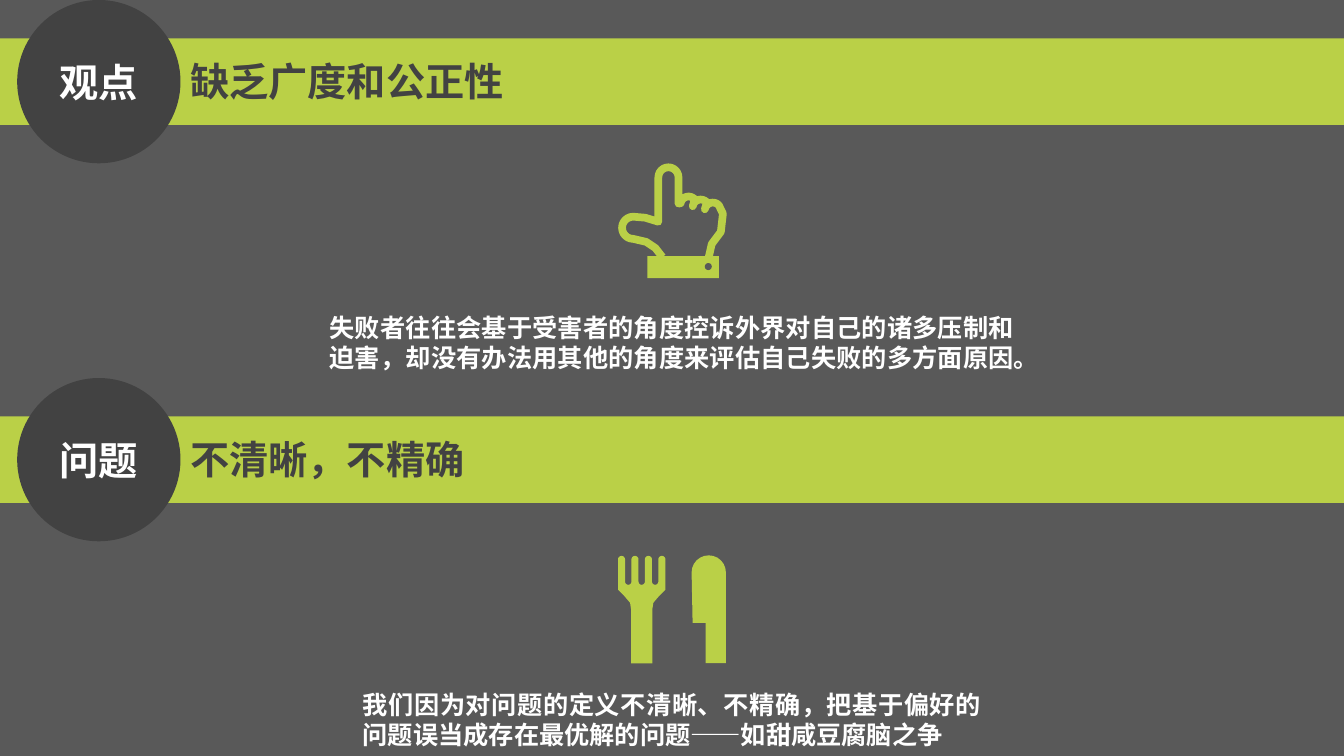
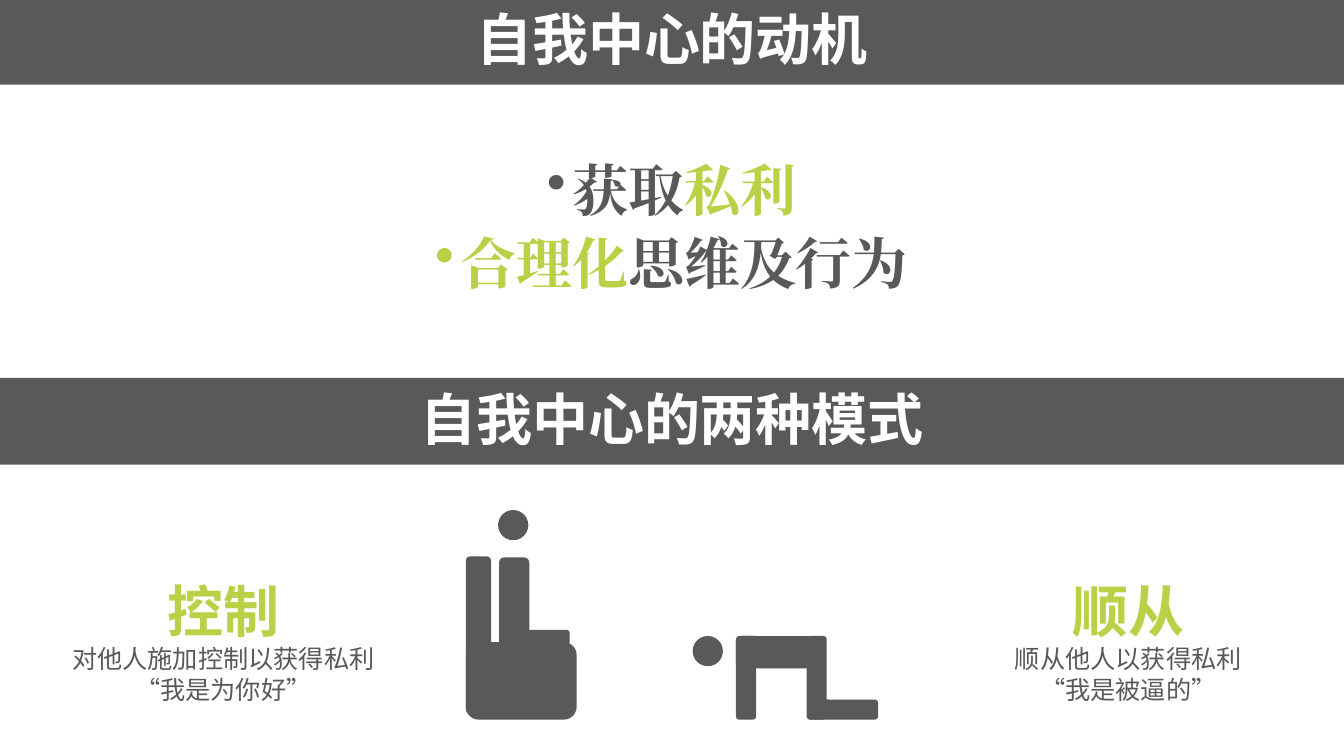
import math

import pptx
import pptx.dml.color
import pptx.enum.shapes
import pptx.enum.text
import pptx.oxml.ns
import pptx.util
from lxml import etree

Inches = pptx.util.Inches
Pt = pptx.util.Pt
SHAPE = pptx.enum.shapes.MSO_SHAPE
ALIGN = pptx.enum.text.PP_ALIGN
ANCHOR = pptx.enum.text.MSO_ANCHOR

GREEN, GRAY, DARK, WHITE = "BAD047", "595959", "424242", "FFFFFF"
FONT, BULLET_FONT = "Noto Sans CJK SC", "Cambria"
SLIDE_WIDTH, BAND_HEIGHT, HALF = 13.33, 0.86, 3.75


def color(value):
    return pptx.dml.color.RGBColor.from_string(value)


def add_text(paragraph, text, size=18, fill=WHITE, bold=True, font=FONT):
    """Append one formatted run to a paragraph."""
    run = paragraph.add_run()
    run.text = text
    run.font.size = Pt(size)
    run.font.bold = bold
    run.font.color.rgb = color(fill)
    run.font.name = font
    east_asian = etree.SubElement(run.font._element, pptx.oxml.ns.qn("a:ea"))
    east_asian.set("typeface", font)


def add_bullet(paragraph):
    properties = paragraph._p.get_or_add_pPr()
    properties.set("marL", str(Inches(0.25)))
    properties.set("indent", str(Inches(-0.25)))
    etree.SubElement(properties, pptx.oxml.ns.qn("a:buChar")).set("char", "•")


def arc(x, y, radius, start=180, end=360, steps=12):
    """Points on a circle; angles run clockwise from the right."""
    angles = [math.radians(start + (end - start) * step / steps)
              for step in range(steps + 1)]
    return [(x + radius * math.cos(a), y + radius * math.sin(a))
            for a in angles]


class Deck:
    def __init__(self):
        self.presentation = pptx.Presentation()
        self.presentation.slide_width = Inches(SLIDE_WIDTH)
        self.presentation.slide_height = Inches(7.5)
        self.slide = None

    def new_slide(self, background):
        layout = self.presentation.slide_layouts[6]
        self.slide = self.presentation.slides.add_slide(layout)
        self.slide.background.fill.solid()
        self.slide.background.fill.fore_color.rgb = color(background)

    def paint(self, shape, fill):
        shape.shadow.inherit = False
        shape.fill.solid()
        shape.fill.fore_color.rgb = color(fill)
        shape.line.fill.background()
        return shape

    def shape(self, kind, box, fill):
        shape = self.slide.shapes.add_shape(kind, *map(Inches, box))
        return self.paint(shape, fill)

    def outline(self, points, fill=GREEN, stroke=None):
        """Filled outline, or an open stroke of the given width in points."""
        points = [(Inches(x), Inches(y)) for x, y in points]
        builder = self.slide.shapes.build_freeform(*points[0])
        builder.add_line_segments(points[1:], close=stroke is None)
        shape = self.paint(builder.convert_to_shape(), fill)
        if stroke:
            shape.fill.background()
            shape.line.color.rgb = color(fill)
            shape.line.width = Pt(stroke)

    def text(self, box, lines, align=ALIGN.LEFT, anchor=ANCHOR.TOP,
             spacing=1.2, gap=0, bullets=False):
        """Each line is a list of (text, format) runs; spacing is in ems."""
        frame = self.slide.shapes.add_textbox(*map(Inches, box)).text_frame
        frame.word_wrap = True
        frame.vertical_anchor = anchor
        for index, runs in enumerate(lines):
            paragraph = frame.add_paragraph() if index else frame.paragraphs[0]
            paragraph.alignment = align
            size = runs[0][1].get("size", 18)
            paragraph.line_spacing = Pt(round(size * spacing, 1))
            if index and gap:
                paragraph.space_before = Pt(gap)
            if bullets:
                add_bullet(paragraph)
            for text, style in runs:
                add_text(paragraph, text, **style)

    def band(self, top, fill):
        self.shape(SHAPE.RECTANGLE, (0, top, SLIDE_WIDTH, BAND_HEIGHT), fill)

    def topic(self, top, label, title, body, body_box):
        """Green band with a round label, a heading and a paragraph."""
        self.band(top + 0.38, GREEN)
        circle = self.shape(SHAPE.OVAL, (0.17, top, 1.62, 1.62), DARK)
        frame = circle.text_frame
        frame.vertical_anchor = ANCHOR.MIDDLE
        frame.paragraphs[0].alignment = ALIGN.CENTER
        add_text(frame.paragraphs[0], label, size=28)
        self.text((1.79, top + 0.52, 3.67, 0.57),
                  [[(title, dict(size=28, fill=DARK))]])
        self.text(body_box, [[(body, {})]], align=ALIGN.JUSTIFY)

    def heading(self, band_top, text_top, title):
        self.band(band_top, GRAY)
        self.text((2.82, text_top, 7.69, 0.71), [[(title, dict(size=40))]],
                  align=ALIGN.CENTER, anchor=ANCHOR.BOTTOM, spacing=1.08)

    def mode(self, left, width, title, *details):
        plain = dict(fill=GRAY, bold=False)
        lines = [[(title, dict(size=40, fill=GREEN))]]
        lines += [[(detail, plain)] for detail in details]
        self.text((left, 5.67, width, 1.38), lines, align=ALIGN.CENTER)

    def figure(self, head, limbs):
        self.shape(SHAPE.OVAL, (*head, 0.3, 0.3), GRAY)
        for limb in limbs:
            self.shape(SHAPE.ROUNDED_RECTANGLE, limb, GRAY)

    def hand(self):
        """Pointing hand: one thick stroke above a cuff with a button."""
        points = [(6.57, 2.55), (6.5, 2.46), (6.41, 2.4)]
        points += arc(6.28, 2.26, 0.11, 90, 270)
        points += [(6.4, 2.16), (6.53, 2.2)]
        points += arc(6.63, 1.76, 0.1) + [(6.73, 2.02)]
        for knuckle in range(3):
            points += arc(6.83 + 0.12 * knuckle, 2.03 + 0.03 * knuckle,
                          0.08, 190, 320)
        points += [(7.17, 2.12), (7.15, 2.3), (7.06, 2.42), (7.03, 2.55)]
        self.outline(points, stroke=5.5)
        self.shape(SHAPE.RECTANGLE, (6.42, 2.54, 0.71, 0.22), GREEN)
        self.shape(SHAPE.OVAL, (6.99, 2.61, 0.07, 0.07), GRAY)

    def cutlery(self):
        """Fork with four equal round tines, and a knife."""
        left, width, tine, step = 6.13, 0.47, 0.07, 0.4 / 3
        points = []
        for index in range(4):
            x = left + index * step
            points += arc(x + tine / 2, 5.55, tine / 2)
            if index < 3:
                points += arc(x + (tine + step) / 2, 5.77,
                              (step - tine) / 2, 180, 0)
        # Half of the handle as insets from the side, then its mirror
        handle = [(0, 5.85), (0.06, 5.91), (0.12, 5.98),
                  (0.13, 6.05), (0.13, 6.58)]
        points += [(left + width - inset, y) for inset, y in handle]
        points += [(left + inset, y) for inset, y in reversed(handle)]
        self.outline(points)
        self.outline(arc(7.03, 5.68, 0.17)
                     + [(7.2, 6.58), (7, 6.58), (7, 6.18), (6.87, 6.18)])


def main():
    deck = Deck()

    # Slide 1: viewpoint and question
    deck.new_slide(GRAY)
    deck.topic(0, "观点", "缺乏广度和公正性",
               "失败者往往会基于受害者的角度控诉外界对自己的诸多压制和迫害，"
               "却没有办法用其他的角度来评估自己失败的多方面原因。",
               (3.17, 3.05, 6.99, 0.71))
    deck.topic(HALF, "问题", "不清晰，不精确",
               "我们因为对问题的定义不清晰、不精确，把基于偏好的"
               "问题误当成存在最优解的问题——如甜咸豆腐脑之争",
               (3.5, 6.79, 6.33, 0.71))
    deck.hand()
    deck.cutlery()

    # Slide 2: motives and modes
    deck.new_slide(WHITE)
    deck.heading(-0.02, 0.05, "自我中心的动机")
    gray = dict(size=40, fill=GRAY, font=BULLET_FONT)
    green = dict(gray, fill=GREEN)
    deck.text((4.17, 1.57, 4.98, 1.45),
              [[("获取", gray), ("私利", green)],
               [("合理化", green), ("思维及行为", gray)]],
              align=ALIGN.CENTER, spacing=1.06, gap=10, bullets=True)
    deck.heading(HALF, 3.82, "自我中心的两种模式")
    deck.mode(0.42, 3.59, "控制", "对他人施加控制以获得私利", "“我是为你好”")
    deck.mode(9.58, 3.22, "顺从", "顺从他人以获得私利", "“我是被逼的”")

    # Seated and kneeling figures
    deck.figure((4.94, 5.06), [
        (4.95, 6.25, 0.7, 0.15), (4.62, 6.37, 1.1, 0.77),
        (4.62, 5.52, 0.25, 1.56), (4.95, 5.53, 0.3, 0.79)])
    deck.figure((6.87, 6.31), [
        (7.3, 6.31, 0.2, 0.83), (7.3, 6.31, 0.83, 0.32),
        (8, 6.31, 0.2, 0.83), (8.01, 6.94, 0.7, 0.2)])

    deck.presentation.save("out.pptx")


if __name__ == "__main__":
    main()
